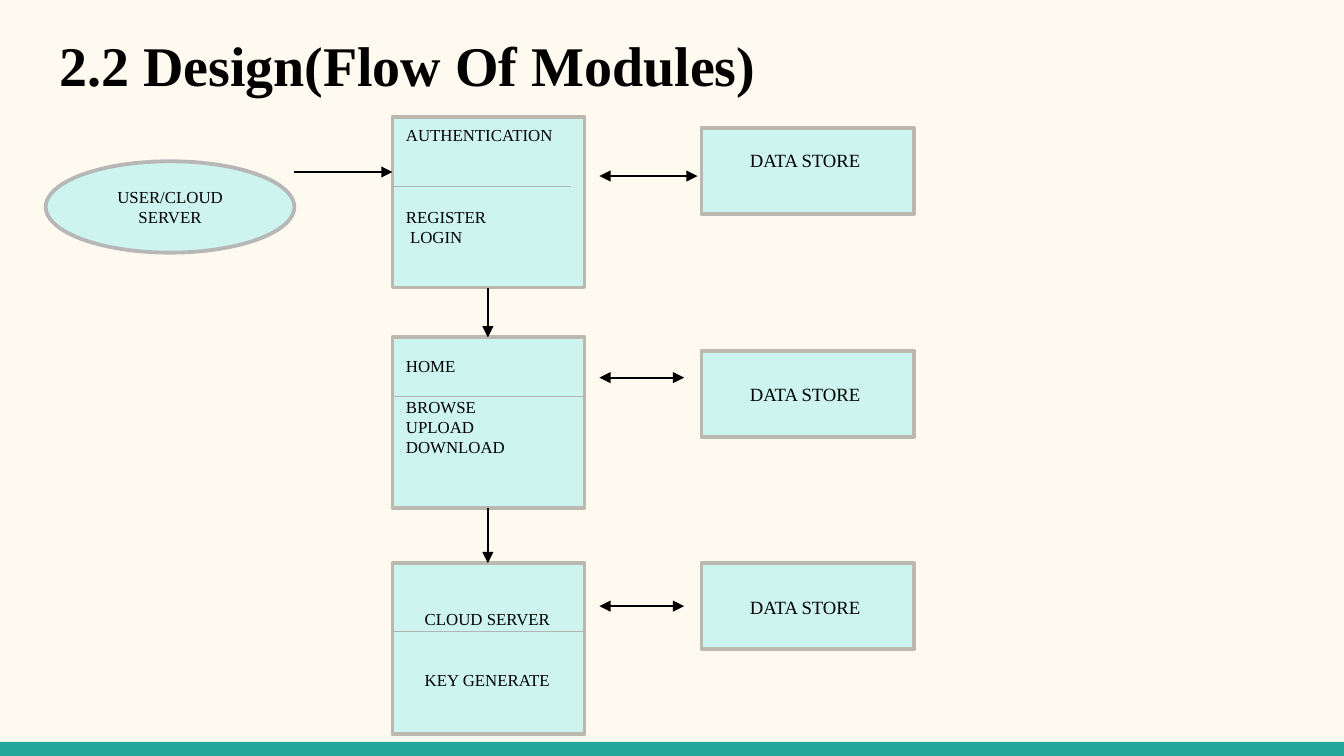
import pptx
import pptx.dml.color
import pptx.enum.shapes
import pptx.enum.text
import pptx.oxml.ns
import pptx.util
from lxml import etree

Inches = pptx.util.Inches
Pt = pptx.util.Pt
SHAPE = pptx.enum.shapes.MSO_SHAPE
ANCHOR = pptx.enum.text.MSO_ANCHOR
ALIGN = pptx.enum.text.PP_ALIGN
qn = pptx.oxml.ns.qn

WIDTH = 10
HEIGHT = WIDTH * 9 / 16


def rgb(value):
    return pptx.dml.color.RGBColor.from_string(value)


def apply(target, values):
    for name, value in values.items():
        setattr(target, name, value)


class Deck:
    FONT = "Times New Roman"
    CREAM, TEAL, MINT = "FFFAEF", "25A69A", "CDF4EF"
    BORDER, DIVIDER, INK = "BBB8AF", "B3B3B3", "000000"

    def __init__(self, prs):
        self.s = prs.slides.add_slide(prs.slide_layouts[5])
        self.s.background.fill.solid()
        self.s.background.fill.fore_color.rgb = rgb(self.CREAM)

    def text(self, sp, lines, size, bold=False, align=ALIGN.LEFT,
             anchor=ANCHOR.TOP, left=0, top=0):
        tf = sp.text_frame
        apply(tf, {"word_wrap": True, "vertical_anchor": anchor,
                   "margin_left": Inches(left), "margin_top": Inches(top),
                   "margin_right": 0, "margin_bottom": 0})
        for i, line in enumerate(lines):
            p = tf.add_paragraph() if i else tf.paragraphs[0]
            apply(p, {"alignment": align, "space_before": Pt(0)})
            r = p.add_run()
            r.text = line
            apply(r.font, {"name": self.FONT, "size": Pt(size), "bold": bold})
            r.font.color.rgb = rgb(self.INK)

    def title(self, text, x, y, w, h):
        sp = self.s.shapes.title
        apply(sp, {"left": Inches(x), "top": Inches(y),
                   "width": Inches(w), "height": Inches(h)})
        self.text(sp, [text], 30, bold=True, left=0.01, top=0.02)

    def shape(self, x, y, w, h, kind=SHAPE.RECTANGLE, fill=MINT, line=None):
        sp = self.s.shapes.add_shape(kind, Inches(x), Inches(y), Inches(w), Inches(h))
        sp.shadow.inherit = False
        sp.fill.solid()
        sp.fill.fore_color.rgb = rgb(fill)
        if line:
            sp.line.color.rgb = rgb(line)
            sp.line.width = Pt(2.04)
        else:
            sp.line.fill.background()
        return sp

    def line(self, x1, y1, x2, y2, color=DIVIDER, width=0.72, ends=()):
        c = self.s.shapes.add_connector(
            pptx.enum.shapes.MSO_CONNECTOR.STRAIGHT,
            Inches(x1), Inches(y1), Inches(x2), Inches(y2))
        c.line.color.rgb = rgb(color)
        c.line.width = Pt(width)
        ln = c.line._get_or_add_ln()
        for end in ends:
            etree.SubElement(ln, qn(f"a:{end}"), type="triangle", w="med", len="med")
        etree.SubElement(c._element.spPr, qn("a:effectLst"))

    def arrow(self, x1, y1, x2, y2, both=False):
        ends = ("headEnd", "tailEnd") if both else ("tailEnd",)
        self.line(x1, y1, x2, y2, self.INK, 1.1, ends)

    def module(self, y, split, divider, indent, header, header_top, body, body_top):
        x, w, h, edge = 2.92, 1.43, 1.27, 0.02
        self.shape(x, y, w, h, line=self.BORDER)
        for top, bottom, lines, text_top in (
                (y + edge, split, header, header_top),
                (split, y + h - edge, body, body_top)):
            sp = self.shape(x + edge, top, w - 2 * edge, bottom - top)
            self.text(sp, lines, 9, left=indent, top=text_top - top)
        self.line(x, split, x + divider, split)

    def store(self, y, text_top):
        sp = self.shape(5.22, y, 1.58, 0.64, line=self.BORDER)
        self.text(sp, ["DATA STORE"], 10, left=0.36, top=text_top)


def main():
    prs = pptx.Presentation()
    apply(prs, {"slide_width": Inches(WIDTH), "slide_height": Inches(HEIGHT)})
    deck = Deck(prs)
    deck.shape(0, 5.52, WIDTH, HEIGHT - 5.52, fill=deck.TEAL)
    deck.title("2.2 Design(Flow Of Modules)", 0.43, 0.21, 5.21, 0.53)

    user = deck.shape(0.34, 1.2, 1.85, 0.68, SHAPE.OVAL, line="B7B7B7")
    deck.text(user, ["USER/CLOUD", "SERVER"], 9, align=ALIGN.CENTER,
              anchor=ANCHOR.MIDDLE)

    deck.module(0.87, 1.39, 1.33, 0.08, ["AUTHENTICATION"], 0.93,
                ["REGISTER", " LOGIN"], 1.54)
    deck.module(2.51, 2.95, 1.43, 0.08, ["HOME"], 2.65,
                ["BROWSE", "UPLOAD", "DOWNLOAD"], 2.95)
    deck.module(4.19, 4.7, 1.43, 0.22, ["CLOUD SERVER"], 4.53,
                ["KEY GENERATE"], 4.98)

    for y, text_top in ((0.95, 0.16), (2.61, 0.24), (4.19, 0.24)):
        deck.store(y, text_top)

    deck.arrow(2.19, 1.28, 2.92, 1.28)
    for y1, y2 in ((2.14, 2.51), (3.78, 4.19)):
        deck.arrow(3.63, y1, 3.63, y2)
    for y, x2 in ((1.31, 5.19), (2.81, 5.09), (4.51, 5.09)):
        deck.arrow(4.46, y, x2, y, both=True)

    prs.save("out.pptx")


if __name__ == "__main__":
    main()
